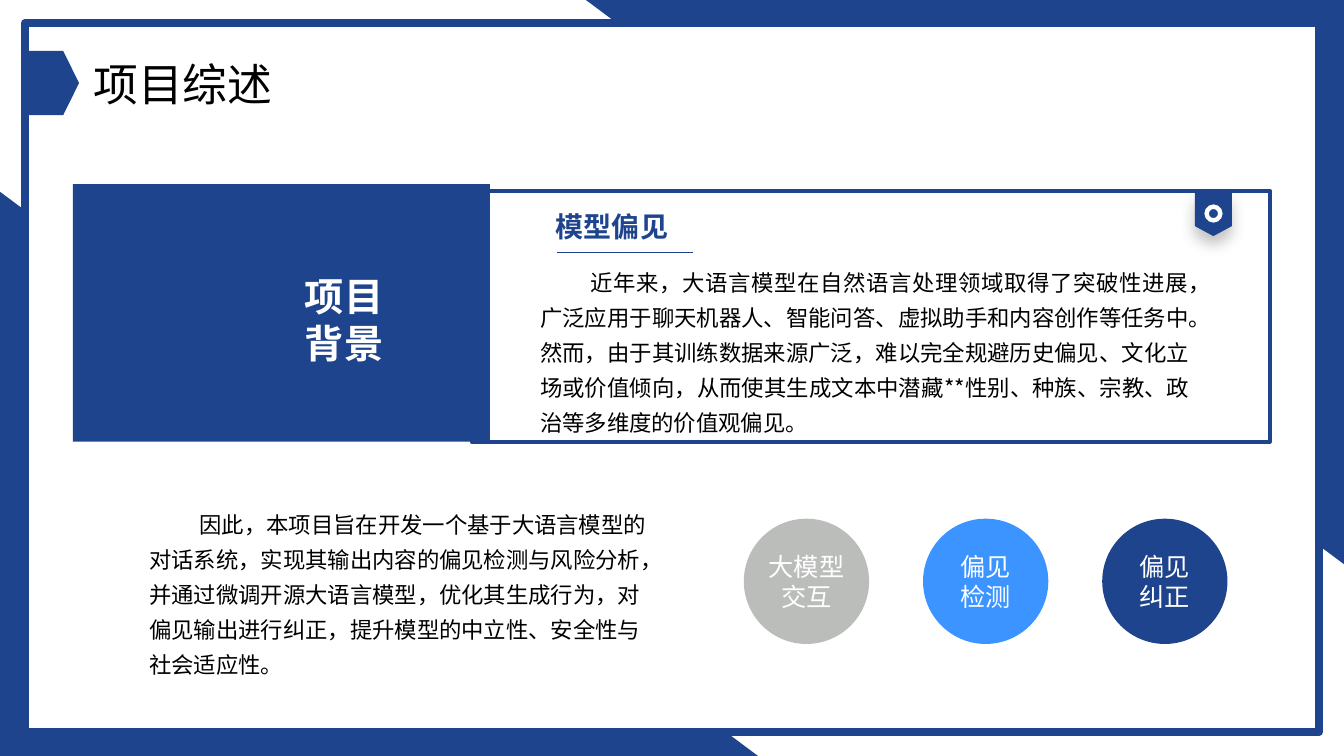
from lxml import etree
from pptx import Presentation
from pptx.dml.color import RGBColor
from pptx.enum.shapes import MSO_CONNECTOR, MSO_SHAPE
from pptx.enum.text import MSO_ANCHOR, PP_ALIGN
from pptx.oxml import parse_xml
from pptx.oxml.ns import nsdecls, qn
from pptx.util import Pt

RECT, ROUND = MSO_SHAPE.RECTANGLE, MSO_SHAPE.ROUNDED_RECTANGLE
TRIANGLE, TAG = MSO_SHAPE.RIGHT_TRIANGLE, MSO_SHAPE.PENTAGON
CIRCLE, RING = MSO_SHAPE.OVAL, MSO_SHAPE.DONUT
LEFT, CENTER, JUSTIFY = PP_ALIGN.LEFT, PP_ALIGN.CENTER, PP_ALIGN.JUSTIFY
TOP, MIDDLE = MSO_ANCHOR.TOP, MSO_ANCHOR.MIDDLE

FONT = "Noto Sans CJK JP"
COLORS = {"navy": "1F448E", "blue": "3B94FF", "gray": "BBBDBB",
          "white": "FFFFFF", "black": "000000", "shadow": "6C6C6A"}
W, H = 960, 540

BACKGROUND = ("近年来，大语言模型在自然语言处理领域取得了突破性进展，广泛应用于聊天机器人、"
              "智能问答、虚拟助手和内容创作等任务中。然而，由于其训练数据来源广泛，难以完全"
              "规避历史偏见、文化立场或价值倾向，从而使其生成文本中潜藏**性别、种族、宗教、"
              "政治等多维度的价值观偏见。")
GOAL = ("因此，本项目旨在开发一个基于大语言模型的对话系统，实现其输出内容的偏见检测与"
        "风险分析，并通过微调开源大语言模型，优化其生成行为，对偏见输出进行纠正，"
        "提升模型的中立性、安全性与社会适应性。")
STEPS = [("gray", ["大模型", "交互"]),
         ("blue", ["偏见", "检测"]),
         ("navy", ["偏见", "纠正"])]


def rgb(name):
    return RGBColor.from_string(COLORS[name])


def add_shape(s, kind, x, y, w, h, fill=None, line=None, weight=0, adj=None, rotation=0):
    sp = s.shapes.add_shape(kind, Pt(x), Pt(y), Pt(w), Pt(h))
    sp.shadow.inherit = False
    sp.rotation = rotation
    if adj is not None:
        sp.adjustments[0] = adj
    if fill:
        sp.fill.solid()
        sp.fill.fore_color.rgb = rgb(fill)
    else:
        sp.fill.background()
    if line:
        sp.line.color.rgb = rgb(line)
        sp.line.width = Pt(weight)
    else:
        sp.line.fill.background()
    return sp


def write(tf, lines, size, color, bold=False, align=LEFT, indent=0, spacing=None):
    """Fill a text frame, one paragraph per line."""
    for i, line in enumerate(lines):
        p = tf.add_paragraph() if i else tf.paragraphs[0]
        p.alignment = align
        if spacing:
            p.line_spacing = spacing
        if indent:
            p._p.get_or_add_pPr().set("indent", str(Pt(indent)))
        r = p.add_run()
        r.text = line
        r.font.size = Pt(size)
        r.font.bold = bold
        r.font.name = FONT
        r.font.color.rgb = rgb(color)
        etree.SubElement(r._r.get_or_add_rPr(), qn("a:ea")).set("typeface", FONT)


def set_margins(tf, margin):
    tf.margin_left = tf.margin_right = tf.margin_top = tf.margin_bottom = Pt(margin)


def add_text(s, x, y, w, h, lines, size, color, wrap=True, anchor=TOP, margin=None, **style):
    tf = s.shapes.add_textbox(Pt(x), Pt(y), Pt(w), Pt(h)).text_frame
    tf.word_wrap = wrap
    tf.vertical_anchor = anchor
    if margin is not None:
        set_margins(tf, margin)
    write(tf, lines, size, color, **style)


def add_step(s, x, y, d, fill, lines):
    """Draw a labelled circle of diameter d."""
    tf = add_shape(s, CIRCLE, x, y, d, d, fill).text_frame
    tf.word_wrap = True
    tf.vertical_anchor = MIDDLE
    set_margins(tf, 0)
    write(tf, lines, 18, "white", align=CENTER)


def add_rule(s, x1, x2, y, color, weight):
    c = s.shapes.add_connector(MSO_CONNECTOR.STRAIGHT, Pt(x1), Pt(y), Pt(x2), Pt(y))
    c.line.color.rgb = rgb(color)
    c.line.width = Pt(weight)
    etree.SubElement(c._element.spPr, qn("a:effectLst"))


def add_drop_shadow(sp, color, opacity, blur, distance):
    """Cast a shadow straight down, with opacity in percent."""
    effects = sp._element.spPr.find(qn("a:effectLst"))
    effects.append(parse_xml(
        f'<a:outerShdw {nsdecls("a")} blurRad="{Pt(blur)}" dist="{Pt(distance)}" '
        f'dir="5400000" rotWithShape="0"><a:srgbClr val="{COLORS[color]}">'
        f'<a:alpha val="{opacity * 1000}"/></a:srgbClr></a:outerShdw>'))


def add_frame(s):
    w, h = 541.5, 403
    add_shape(s, TRIANGLE, W - w, 0, w, h, "navy", rotation=180)
    add_shape(s, TRIANGLE, 0, H - h, w, h, "navy")
    add_shape(s, ROUND, 18, 16.5, 924, 506.5, "white", "navy", 6, adj=0)


def add_title(s):
    add_text(s, 59.5, 37.2, 142.6, 46, ["项目综述"], 32, "black", wrap=False)
    add_shape(s, TAG, 20.5, 36.3, 36, 46, "navy", adj=0.315)


def add_background_card(s):
    add_shape(s, RECT, 337, 136.2, 570, 179.3, line="navy", weight=3)
    add_shape(s, RECT, 52, 131.5, 298, 184, "navy")
    add_text(s, 210.5, 191, 70.5, 75, ["项目", "背景"], 28, "white",
             wrap=False, bold=True, align=CENTER)
    ribbon = add_shape(s, TAG, 851.2, 140, 31, 26.3, "navy", adj=0.269, rotation=90)
    add_drop_shadow(ribbon, "shadow", 40, 10, 7)
    add_shape(s, RING, 860.3, 146, 13, 13, "white")
    add_text(s, 378.7, 183, 478, 103.7, [BACKGROUND], 16, "black",
             align=JUSTIFY, indent=36, spacing=1.3)
    add_text(s, 390, 146, 342, 31.5, ["模型偏见"], 20, "navy", anchor=MIDDLE, bold=True)
    add_rule(s, 398, 495, 180.2, "navy", 1)


def main():
    prs = Presentation()
    prs.slide_width, prs.slide_height = Pt(W), Pt(H)
    s = prs.slides.add_slide(prs.slide_layouts[6])
    add_frame(s)
    add_title(s)
    add_background_card(s)
    add_text(s, 106.6, 359.3, 366.5, 126, [GOAL], 16, "black",
             margin=0, indent=36, spacing=1.3)
    for i, (fill, lines) in enumerate(STEPS):
        add_step(s, 531.3 + 128 * i, 370.5, 89.5, fill, lines)
    prs.save("out.pptx")


if __name__ == "__main__":
    main()
